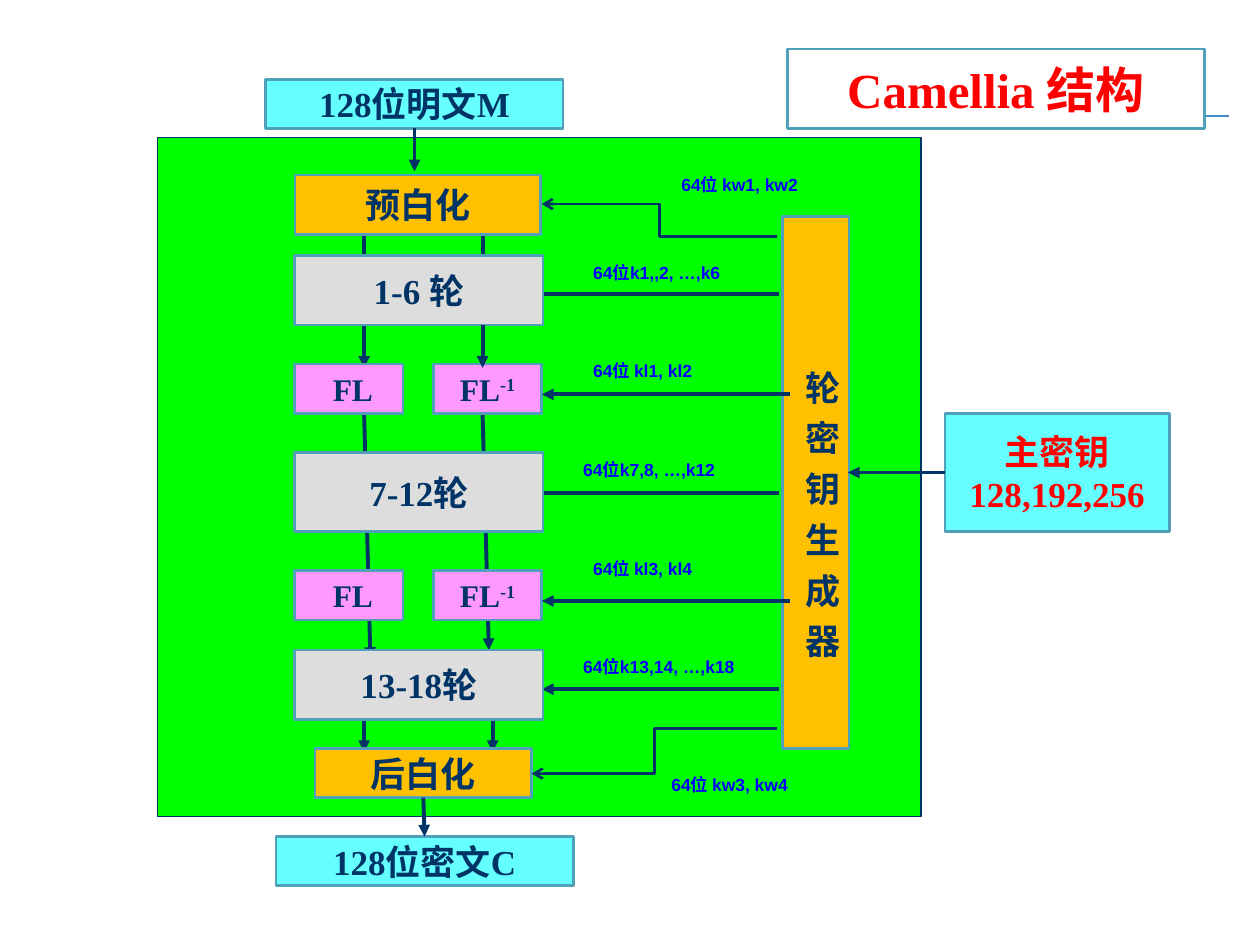
from lxml.etree import SubElement
from pptx import Presentation
from pptx.dml.color import RGBColor
from pptx.enum.shapes import MSO_CONNECTOR, MSO_SHAPE
from pptx.enum.text import MSO_ANCHOR, PP_ALIGN
from pptx.oxml.ns import qn
from pptx.util import Inches, Pt

NAVY, TEAL, RED, BLUE = "003366", "51A0B9", "FF0000", "0000FF"
GREEN, CYAN, AMBER = "00FF00", "66FFFF", "FFC000"
PINK, GREY, WHITE = "FF99FF", "DDDDDD", "FFFFFF"
SERIF, SANS = "Times New Roman", "Arial"

LEFT, ROUND_W, FL_W, ROW_H = 2.34, 1.97, 0.86, 0.39
FL_RIGHT = 3.44
FL_TOPS = (2.89, 4.53)
KEY_X = 6.18

FRAME = (1.25, 1.09, 6.06, 5.39)
GENERATOR = ("轮 密 钥 生 成 器", (6.21, 1.72, 0.53, 4.22))

BOXES = [
    ("128位明文M", (2.11, 0.63, 2.36, ROW_H), CYAN, 20, NAVY),
    ("预白化", (LEFT, 1.39, 1.95, 0.47), AMBER, 20, NAVY),
    ("1-6 轮", (LEFT, 2.03, ROUND_W, 0.55), GREY, 20, NAVY),
    ("7-12轮", (LEFT, 3.59, ROUND_W, 0.63), GREY, 20, NAVY),
    ("13-18轮", (LEFT, 5.16, ROUND_W, 0.55), GREY, 20, NAVY),
    ("后白化", (2.5, 5.94, 1.72, ROW_H), AMBER, 20, NAVY),
    ("128位密文C", (2.19, 6.64, 2.36, ROW_H), CYAN, 20, NAVY),
    ("主密钥\n128,192,256", (7.5, 3.28, 1.78, 0.94), CYAN, 20, RED),
    ("Camellia 结构", (6.25, 0.39, 3.31, 0.63), WHITE, 28, RED),
]
for fl_top in FL_TOPS:
    BOXES.append((" FL", (LEFT, fl_top, FL_W, ROW_H), PINK, 18, NAVY))
    BOXES.append(("FL^-1", (FL_RIGHT, fl_top, FL_W, ROW_H), PINK, 18, NAVY))

LABELS = [
    ("64位 kw1, kw2", 5.31, 1.33, 1.2),
    ("64位k1,,2, …,k6", 4.61, 2.03, 1.48),
    ("64位 kl1, kl2", 4.61, 2.81, 1.48),
    ("64位k7,8, …,k12", 4.53, 3.59, 1.72),
    ("64位 kl3, kl4", 4.61, 4.38, 1.48),
    ("64位k13,14, …,k18", 4.53, 5.16, 1.48),
    ("64位 kw3, kw4", 5.23, 6.09, 1.2),
]

ARROWS_BEHIND = [
    (2.89, 1.8, 2.89, 2.14),
    (3.83, 1.8, 3.83, 2.14),
    (2.89, 2.58, 2.89, 2.92),
    (2.89, 3.28, 2.94, 5.23),
    (3.83, 3.28, 3.88, 5.16),
    (2.89, 5.63, 2.89, 5.97),
    (3.91, 5.63, 3.91, 5.97),
    (KEY_X, 2.33, 4.21, 2.33),
    (KEY_X, 3.91, 4.22, 3.91),
    (KEY_X, 5.47, 4.3, 5.47),
]
ARROWS_FRONT = [
    (3.83, 2.58, 3.83, 2.92),
    (6.27, 3.13, 4.3, 3.13),
    (6.27, 4.77, 4.3, 4.77),
]
WHITENING_KEYS = [(6.17, 1.88, 4.3, 1.62), (6.17, 5.78, 4.22, 6.14)]
JOINED = [
    ("128位明文M", 2, None, None, (3.29, 1.02, 3.29, 1.36)),
    ("后白化", 2, "128位密文C", 0, (3.36, 6.33, 3.37, 6.64)),
    ("主密钥\n128,192,256", 1, None, None, (7.5, 3.75, 6.73, 3.75)),
]


def color(code):
    return RGBColor.from_string(code)


def apply(target, values):
    for name, value in values.items():
        setattr(target, name, value)


def add_rect(at, fill, line, width):
    rect = slide.shapes.add_shape(MSO_SHAPE.RECTANGLE, *map(Inches, at))
    rect.shadow.inherit = False
    rect.fill.solid()
    rect.fill.fore_color.rgb = color(fill)
    rect.line.color.rgb = color(line)
    rect.line.width = Pt(width)
    return rect


def write(frame, text, size, font, ink, align, insets, **layout):
    sides, ends = map(Inches, insets)
    apply(frame, dict(margin_left=sides, margin_right=sides,
                      margin_top=ends, margin_bottom=ends, **layout))
    for index, line in enumerate(text.split("\n")):
        paragraph = frame.add_paragraph() if index else frame.paragraphs[0]
        paragraph.alignment = align
        base, _, power = line.partition("^")
        for part in filter(None, (base, power)):
            run = paragraph.add_run()
            run.text = part
            apply(run.font, {"size": Pt(size), "name": font, "bold": True})
            run.font.color.rgb = color(ink)
            if part == power:
                run._r.get_or_add_rPr().set("baseline", "30000")


def add_line(ends, kind=MSO_CONNECTOR.STRAIGHT, ink=NAVY, width=2.25, head="triangle"):
    line = slide.shapes.add_connector(kind, *map(Inches, ends))
    line.line.color.rgb = color(ink)
    line.line.width = Pt(width)
    if head:
        SubElement(line.line._get_or_add_ln(), qn("a:tailEnd"), type=head)
    SubElement(line._element.spPr, qn("a:effectLst"))
    return line


deck = Presentation()
deck.slide_width, deck.slide_height = Inches(10), Inches(7.5)
slide = deck.slides.add_slide(deck.slide_layouts[6])

add_line((8.75, 0.92, 9.75, 0.92), ink="438ACB", width=0.75, head=None)
add_rect(FRAME, GREEN, NAVY, 0.75)
for ends in ARROWS_BEHIND:
    add_line(ends)

name, at = GENERATOR
generator = add_rect(at, AMBER, TEAL, 1.5)
write(generator.text_frame, name, 20, SANS, NAVY, PP_ALIGN.LEFT, (0.05, 0.1),
      vertical_anchor=MSO_ANCHOR.TOP, word_wrap=True)
generator.text_frame.margin_top = Inches(1.22)
generator.text_frame._txBody.bodyPr.set("vert", "eaVert")
for run in generator.text_frame.paragraphs[0].runs:
    run._r.get_or_add_rPr().set("spc", "210")

placed = {}
for text, at, fill, size, ink in BOXES:
    placed[text] = add_rect(at, fill, TEAL, 1.5)
    write(placed[text].text_frame, text, size, SERIF, ink, PP_ALIGN.CENTER,
          (0.08, 0.04), vertical_anchor=MSO_ANCHOR.MIDDLE, word_wrap=False)

for source, source_side, target, target_side, ends in JOINED:
    arrow = add_line(ends)
    arrow.begin_connect(placed[source], source_side)
    if target:
        arrow.end_connect(placed[target], target_side)
for ends in ARROWS_FRONT:
    add_line(ends)
for ends in WHITENING_KEYS:
    add_line(ends, kind=MSO_CONNECTOR.ELBOW, width=1.5, head="arrow")

for text, left, top, width in LABELS:
    label = slide.shapes.add_textbox(*map(Inches, (left, top, width, 0.27)))
    write(label.text_frame, text, 10, SANS, BLUE, PP_ALIGN.LEFT, (0.1, 0.05),
          word_wrap=True)

deck.save("out.pptx")
